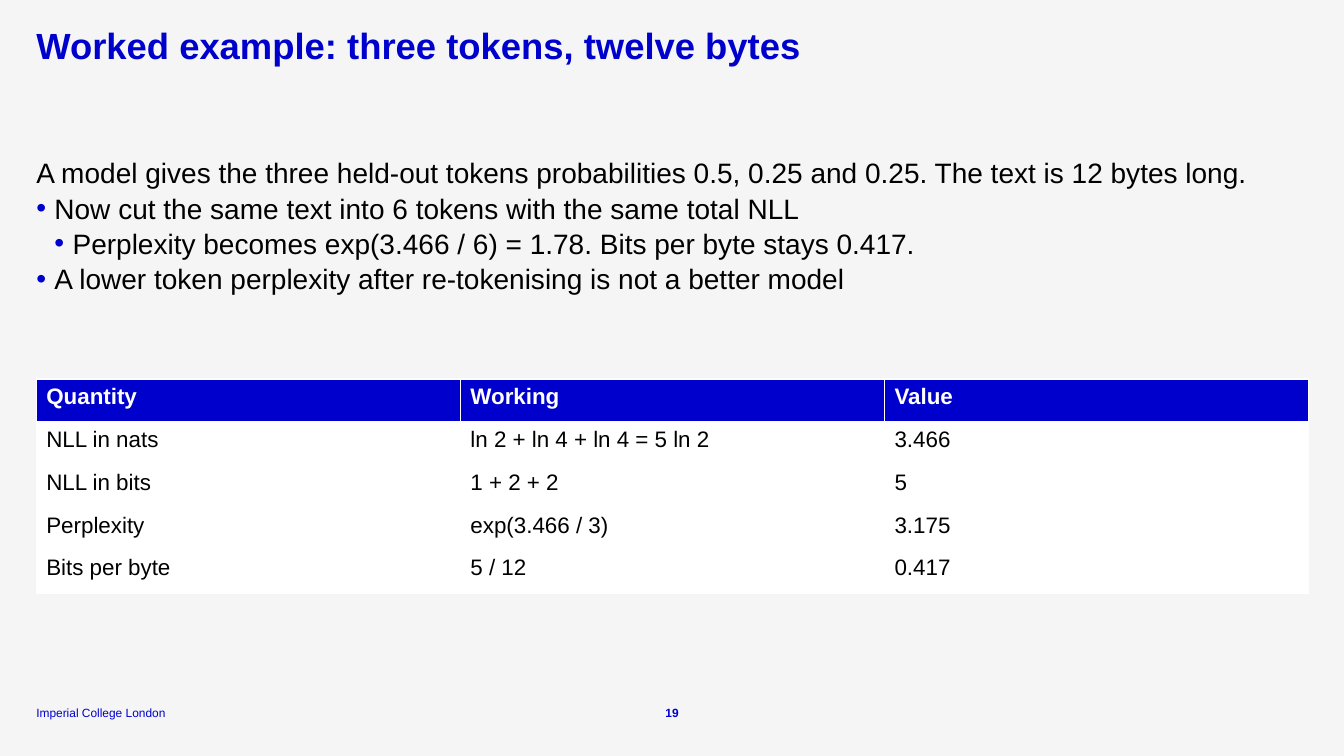
from lxml import etree
from pptx import Presentation
from pptx.dml.color import RGBColor
from pptx.enum import text
from pptx.oxml import ns
from pptx.util import Inches, Pt

BLUE, BLACK, WHITE, GREY = "0000CD", "000000", "FFFFFF", "F5F5F5"
LEFT, WIDTH = 0.36, 12.62
INDENT = 0.18

BODY = [
    (0, "A model gives the three held-out tokens probabilities 0.5, 0.25 and 0.25. "
        "The text is 12 bytes long."),
    (1, "Now cut the same text into 6 tokens with the same total NLL"),
    (2, "Perplexity becomes exp(3.466 / 6) = 1.78. Bits per byte stays 0.417."),
    (1, "A lower token perplexity after re-tokenising is not a better model"),
]
QUANTITIES = [
    ("Quantity", "Working", "Value"),
    ("NLL in nats", "ln 2 + ln 4 + ln 4 = 5 ln 2", "3.466"),
    ("NLL in bits", "1 + 2 + 2", "5"),
    ("Perplexity", "exp(3.466 / 3)", "3.175"),
    ("Bits per byte", "5 / 12", "0.417"),
]


def color(value):
    return RGBColor.from_string(value)


def write(paragraph, words, size=20, fill=BLACK, bold=False, align=None, spacing=None):
    """Add one formatted run and set the paragraph's layout."""
    paragraph.alignment = align
    paragraph.line_spacing = spacing
    paragraph.space_before = Pt(0)
    run = paragraph.add_run()
    run.text = words
    run.font.name = "Arial"
    run.font.size = Pt(size)
    run.font.bold = bold
    run.font.color.rgb = color(fill)


def set_bullet(paragraph, level):
    """Level 0 is plain text; deeper levels hang behind a blue bullet."""
    paragraph.level = level
    properties = paragraph._p.get_or_add_pPr()
    properties.set("marL", str(Inches(INDENT * level)))
    properties.set("indent", str(-Inches(INDENT) if level else 0))
    if not level:
        etree.SubElement(properties, ns.qn("a:buNone"))
        return
    bullet_color = etree.SubElement(properties, ns.qn("a:buClr"))
    etree.SubElement(bullet_color, ns.qn("a:srgbClr"), val=BLUE)
    etree.SubElement(properties, ns.qn("a:buFont"), typeface="Arial")
    etree.SubElement(properties, ns.qn("a:buChar"), char="•")


def place(shape, left, top, width, height, anchor=text.MSO_ANCHOR.TOP):
    """Position a text shape, clear its insets and return its text frame."""
    shape.left, shape.top = Inches(left), Inches(top)
    shape.width, shape.height = Inches(width), Inches(height)
    frame = shape.text_frame
    frame.margin_left = frame.margin_right = frame.margin_top = frame.margin_bottom = 0
    frame.word_wrap = True
    frame.auto_size = text.MSO_AUTO_SIZE.NONE
    frame.vertical_anchor = anchor
    return frame


def add_body(placeholder):
    frame = place(placeholder, LEFT, 1.53, WIDTH, 1.98)
    for index, (level, words) in enumerate(BODY):
        paragraph = frame.add_paragraph() if index else frame.paragraphs[0]
        set_bullet(paragraph, level)
        write(paragraph, words, align=text.PP_ALIGN.LEFT, spacing=1.05)


def add_footer(slide, words, left, width, **style):
    box = slide.shapes.add_textbox(0, 0, 0, 0)
    frame = place(box, left, 6.99, width, 0.15, text.MSO_ANCHOR.BOTTOM)
    write(frame.paragraphs[0], words, size=8.5, fill=BLUE, **style)


def add_quantity_table(slide):
    """The default table style supplies the white cell borders."""
    table = slide.shapes.add_table(
        len(QUANTITIES), len(QUANTITIES[0]),
        Inches(LEFT), Inches(3.76), Inches(WIDTH), Inches(2.13)).table
    table.horz_banding = False
    for row_index, row in enumerate(QUANTITIES):
        header = row_index == 0
        for column_index, words in enumerate(row):
            cell = table.cell(row_index, column_index)
            cell.fill.solid()
            cell.fill.fore_color.rgb = color(BLUE if header else WHITE)
            write(cell.text_frame.paragraphs[0], words, size=16,
                  fill=WHITE if header else BLACK, bold=header)


def main():
    presentation = Presentation()
    presentation.slide_width, presentation.slide_height = Inches(13.33), Inches(7.5)
    slide = presentation.slides.add_slide(presentation.slide_layouts[1])
    slide.background.fill.solid()
    slide.background.fill.fore_color.rgb = color(GREY)

    # Title and body
    title = place(slide.shapes.title, LEFT, 0.28, WIDTH, 0.41)
    write(title.paragraphs[0], "Worked example: three tokens, twelve bytes",
          size=26, fill=BLUE, bold=True, align=text.PP_ALIGN.LEFT, spacing=0.9)
    add_body(slide.placeholders[1])

    # Table
    add_quantity_table(slide)

    # Footer
    add_footer(slide, "Imperial College London", LEFT, 1.55)
    add_footer(slide, "19", 6.49, 0.35, bold=True, align=text.PP_ALIGN.CENTER)

    presentation.save("out.pptx")


if __name__ == "__main__":
    main()
